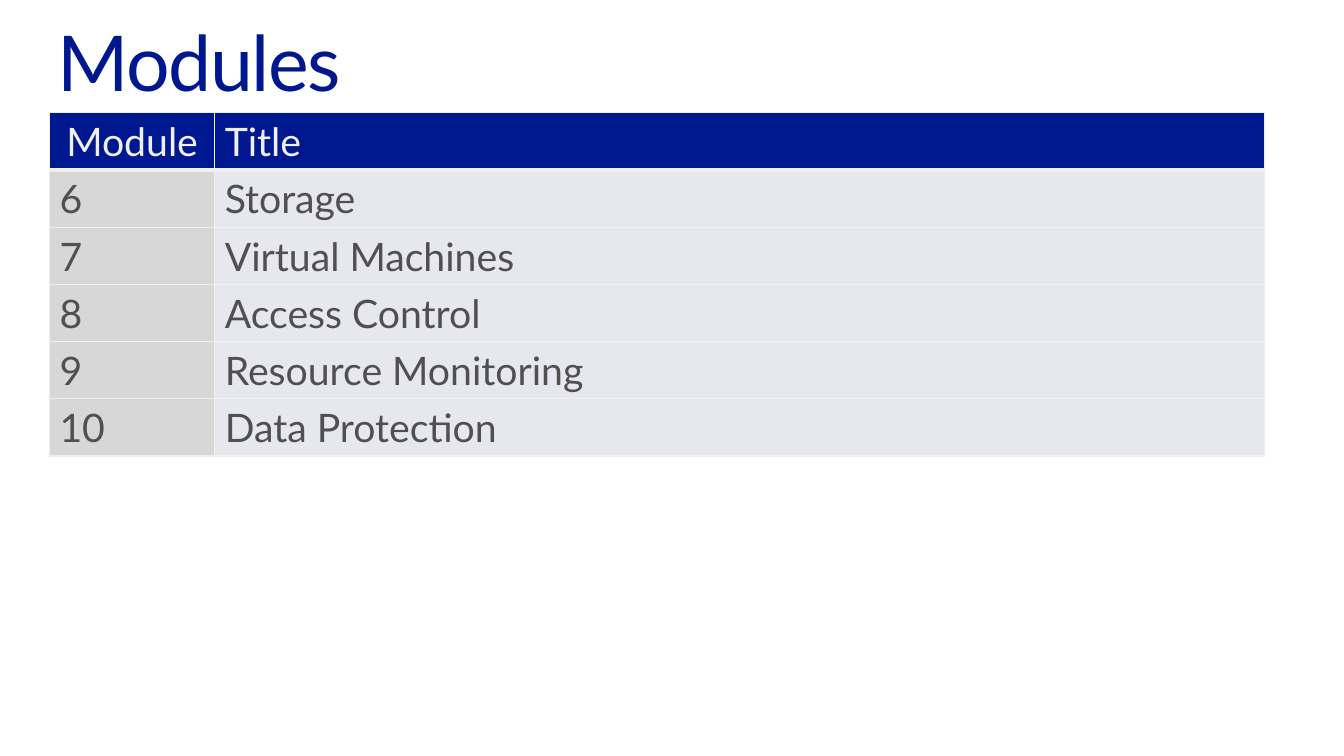
from dataclasses import dataclass

from lxml import etree
from pptx import Presentation
from pptx import util as u
from pptx.dml.color import RGBColor
from pptx.enum import text
from pptx.oxml import ns


@dataclass(frozen=True)
class Theme:
    font: str = "Lato"
    navy: str = "00188F"
    pale: str = "EFEFEF"
    ink: str = "505050"
    number_fill: str = "D7D7D7"
    title_fill: str = "E7E8EE"
    heading_size: int = 55
    table_size: int = 28


@dataclass(frozen=True)
class Module:
    number: str
    title: str


THEME = Theme()
HEADER = Module("Module", "Title")
MODULES = [
    Module("6", "Storage"),
    Module("7", "Virtual Machines"),
    Module("8", "Access Control"),
    Module("9", "Resource Monitoring"),
    Module("10", "Data Protection"),
]
COLUMN_WIDTHS = (1.64, 10.41)
ROW_HEIGHT = 0.56


def write(frame, words: str, *, size: int, color: str,
          align=text.PP_ALIGN.LEFT, line_spacing: float = 1.0,
          tracking: int = 0) -> None:
    """Write one formatted paragraph; tracking is in hundredths of a point."""
    paragraph = frame.paragraphs[0]
    paragraph.alignment = align
    paragraph.line_spacing = line_spacing
    run = paragraph.add_run()
    run.text = words
    run.font.name = THEME.font
    run.font.size = u.Pt(size)
    run.font.bold = False
    run.font.color.rgb = RGBColor.from_string(color)
    if tracking:
        run.font._element.set("spc", str(tracking))


def set_borders(cell, color: str, top: float, bottom: float) -> None:
    """Draw the four cell borders, with widths in points."""
    properties = cell._tc.get_or_add_tcPr()
    widths = {"lnL": 1, "lnR": 1, "lnT": top, "lnB": bottom}
    for position, (edge, width) in enumerate(widths.items()):
        line = etree.Element(ns.qn(f"a:{edge}"), w=str(u.Pt(width)))
        fill = etree.SubElement(line, ns.qn("a:solidFill"))
        etree.SubElement(fill, ns.qn("a:srgbClr"), val=color)
        properties.insert(position, line)


def add_heading(slide, words: str) -> None:
    heading = slide.shapes.title
    heading.left, heading.top = u.Inches(0.57), u.Inches(0.25)
    heading.width, heading.height = u.Inches(12.2), u.Inches(0.83)
    frame = heading.text_frame
    frame.margin_left = frame.margin_right = u.Inches(0)
    frame.margin_top = frame.margin_bottom = u.Inches(0)
    frame.vertical_anchor = text.MSO_ANCHOR.TOP
    frame.auto_size = text.MSO_AUTO_SIZE.NONE
    frame.word_wrap = True
    write(frame, words, size=THEME.heading_size, color=THEME.navy,
          line_spacing=0.9, tracking=-100)


def add_modules(slide, modules: list[Module]) -> None:
    rows = [HEADER, *modules]
    table = slide.shapes.add_table(
        len(rows), len(COLUMN_WIDTHS), u.Inches(0.49), u.Inches(1.12),
        u.Inches(sum(COLUMN_WIDTHS)), u.Inches(ROW_HEIGHT * len(rows))).table
    for column, width in zip(table.columns, COLUMN_WIDTHS):
        column.width = u.Inches(width)

    for row, module in enumerate(rows):
        is_header = row == 0
        fills = ((THEME.navy, THEME.navy) if is_header
                 else (THEME.number_fill, THEME.title_fill))
        for column, words in enumerate((module.number, module.title)):
            cell = table.cell(row, column)
            cell.vertical_anchor = text.MSO_ANCHOR.MIDDLE
            cell.fill.solid()
            cell.fill.fore_color.rgb = RGBColor.from_string(fills[column])
            centred = is_header and column == 0
            write(cell.text_frame, words, size=THEME.table_size,
                  color=THEME.pale if is_header else THEME.ink,
                  align=text.PP_ALIGN.CENTER if centred else text.PP_ALIGN.LEFT)
            # A thick rule parts the header from the modules
            set_borders(cell, THEME.pale, top=3 if row == 1 else 1,
                        bottom=3 if is_header else 1)


def main() -> None:
    deck = Presentation()
    deck.slide_width, deck.slide_height = u.Inches(13.33), u.Inches(7.5)
    slide = deck.slides.add_slide(deck.slide_layouts[5])  # Title Only
    add_heading(slide, "Modules")
    add_modules(slide, MODULES)
    deck.save("out.pptx")


if __name__ == "__main__":
    main()
